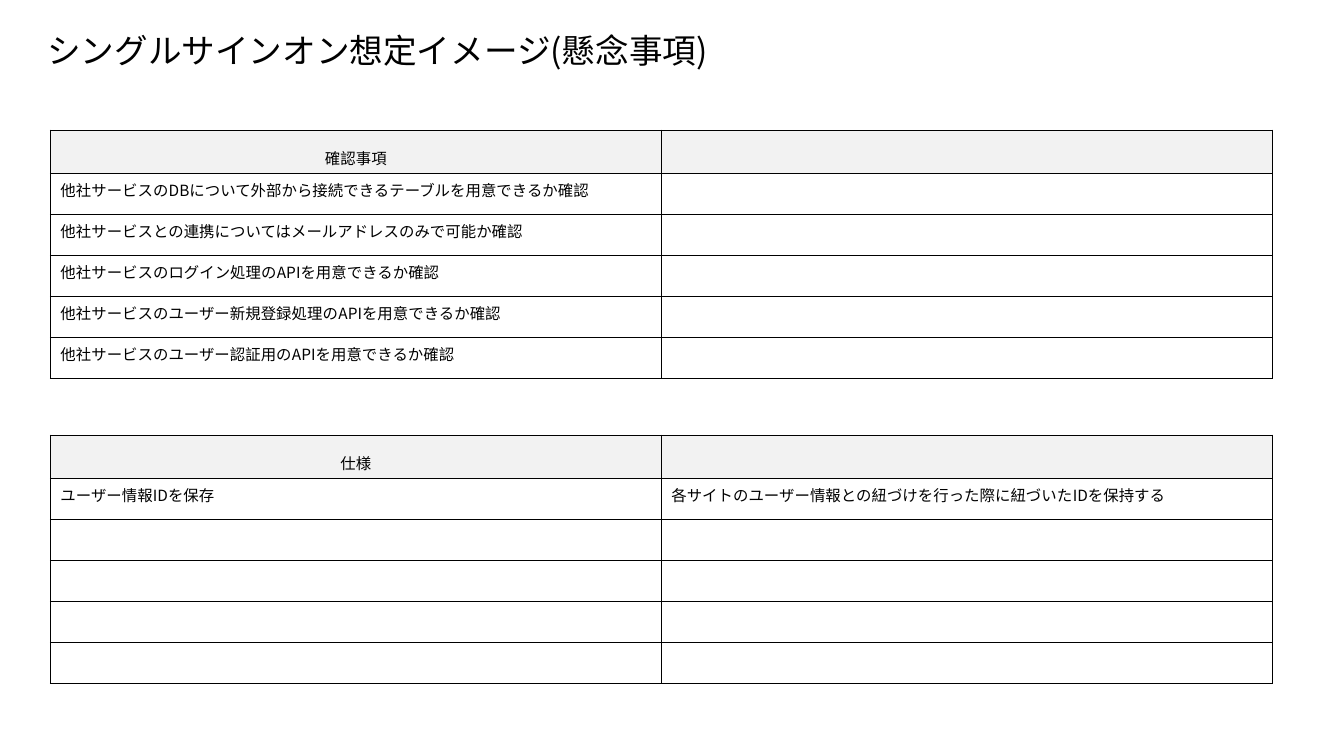
"""Build the single sign-on concerns slide."""
from collections import namedtuple
from dataclasses import dataclass

from lxml.etree import SubElement
from pptx import Presentation
from pptx.dml.color import RGBColor
from pptx.enum.text import MSO_ANCHOR, MSO_AUTO_SIZE, PP_ALIGN
from pptx.oxml.ns import qn
from pptx.util import Pt

Box = namedtuple("Box", "left top width height")


@dataclass(frozen=True)
class Theme:
    """Colours, type sizes and line width of the slide."""
    font: str = "Noto Sans CJK JP"
    ink: str = "000000"
    header_fill: str = "F2F2F2"
    title_size: float = 24
    body_size: float = 11
    border_width: float = 1


THEME = Theme()
CHECKS = [
    ("確認事項", ""),
    ("他社サービスのDBについて外部から接続できるテーブルを用意できるか確認", ""),
    ("他社サービスとの連携についてはメールアドレスのみで可能か確認", ""),
    ("他社サービスのログイン処理のAPIを用意できるか確認", ""),
    ("他社サービスのユーザー新規登録処理のAPIを用意できるか確認", ""),
    ("他社サービスのユーザー認証用のAPIを用意できるか確認", ""),
]
SPECIFICATIONS = [
    ("仕様", ""),
    ("ユーザー情報IDを保存", "各サイトのユーザー情報との紐づけを行った際に紐づいたIDを保持する"),
] + [("", "")] * 4


def write(frame, text, size=THEME.body_size, align=PP_ALIGN.LEFT, spacing=1.0):
    """Write one formatted paragraph, keeping the type size when it is empty."""
    para = frame.paragraphs[0]
    para.alignment, para.line_spacing = align, spacing
    if not text:
        SubElement(para._p, qn("a:endParaRPr"), sz=str(int(size * 100)))
        return
    span = para.add_run()
    span.text = text
    span.font.size, span.font.name = Pt(size), THEME.font
    span.font.color.rgb = RGBColor.from_string(THEME.ink)
    SubElement(span.font._element, qn("a:ea"), typeface=THEME.font)


def add_borders(cell):
    """Draw a solid line on all four sides of a cell."""
    properties = cell._tc.get_or_add_tcPr()
    for side in ("lnL", "lnR", "lnT", "lnB"):
        line = SubElement(properties, qn(f"a:{side}"), w=str(Pt(THEME.border_width)))
        fill = SubElement(line, qn("a:solidFill"))
        SubElement(fill, qn("a:srgbClr"), val=THEME.ink)


def place_title(page, box, text):
    """Move the title placeholder into its box and fill it."""
    title = page.shapes.title
    title.left, title.top, title.width, title.height = map(Pt, box)
    frame = title.text_frame
    frame.word_wrap, frame.auto_size = True, MSO_AUTO_SIZE.NONE
    frame.vertical_anchor = MSO_ANCHOR.MIDDLE
    write(frame, text, size=THEME.title_size, spacing=0.9)


def place_table(page, box, rows):
    """Fill a box with an evenly divided table that has a shaded header."""
    table = page.shapes.add_table(len(rows), len(rows[0]), *map(Pt, box)).table
    table.first_row = table.horz_banding = False
    for column in table.columns:
        column.width = Pt(box.width / len(rows[0]))
    for row_index, texts in enumerate(rows):
        table.rows[row_index].height = Pt(box.height / len(rows))
        for column_index, text in enumerate(texts):
            cell = table.cell(row_index, column_index)
            add_borders(cell)
            if row_index == 0:
                cell.fill.solid()
                cell.fill.fore_color.rgb = RGBColor.from_string(THEME.header_fill)
                write(cell.text_frame, text, align=PP_ALIGN.CENTER, spacing=1.5)
            else:
                cell.fill.background()
                write(cell.text_frame, text)


def build_page(deck):
    """Add the slide with its title and two tables."""
    page = deck.slides.add_slide(deck.slide_layouts[5])
    place_title(page, Box(26.6, 20.9, 867, 33), "シングルサインオン想定イメージ(懸念事項)")
    for top, rows in ((93, CHECKS), (310.8, SPECIFICATIONS)):
        place_table(page, Box(36, top, 872.8, 175.2), rows)


deck = Presentation()
deck.slide_width, deck.slide_height = Pt(960), Pt(540)
build_page(deck)
deck.save("out.pptx")
